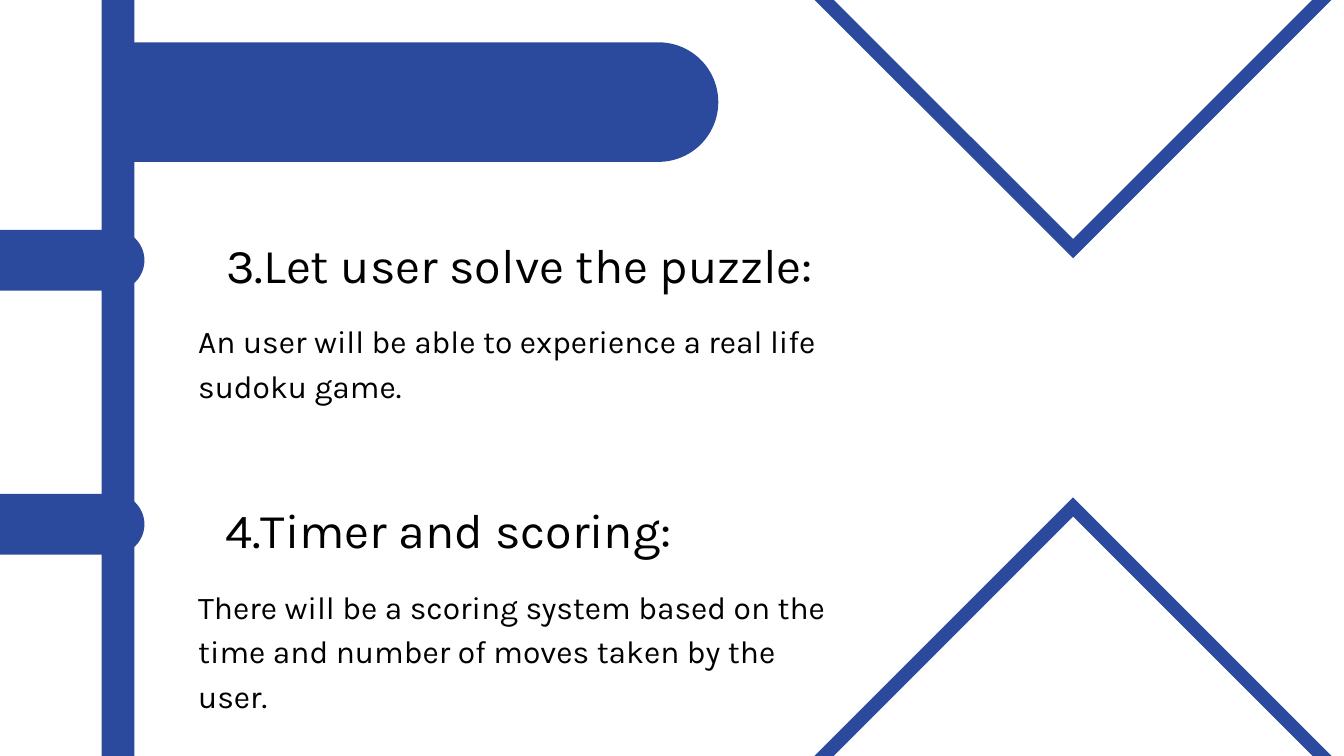
"""Build a slide describing two features of a sudoku game."""
from lxml.etree import SubElement
from pptx import Presentation
from pptx.dml.color import RGBColor
from pptx.enum.shapes import MSO_SHAPE as Preset
from pptx.enum.text import MSO_ANCHOR as Anchor, MSO_AUTO_SIZE as AutoSize, PP_ALIGN as Align
from pptx.oxml.ns import qn
from pptx.util import Cm, Pt

COLORS = {"blue": "2B4A9D", "text": "000000", "background": "FFFFFF"}
FONT = "Karla"

presentation = Presentation()
presentation.slide_width, presentation.slide_height = Cm(50.8), Cm(28.58)
slide = presentation.slides.add_slide(presentation.slide_layouts.get_by_name("Comparison"))
slide.background.fill.solid()
slide.background.fill.fore_color.rgb = RGBColor.from_string(COLORS["background"])


def add_blue_shape(preset, left, top, width, height, rotation=0, adjustment=None):
    shape = slide.shapes.add_shape(preset, Cm(left), Cm(top), Cm(width), Cm(height))
    shape.rotation = rotation
    if adjustment is not None:
        shape.adjustments[0] = adjustment
    shape.fill.solid()
    shape.fill.fore_color.rgb = RGBColor.from_string(COLORS["blue"])
    shape.line.fill.background()
    shape.shadow.inherit = False


def fill_placeholder(index, text, box, size, line_spacing, alignment):
    shape = slide.placeholders[index]
    shape.left, shape.top, shape.width, shape.height = [Cm(value) for value in box]
    frame = shape.text_frame
    frame.text = text
    frame.word_wrap = True
    frame.auto_size = AutoSize.NONE
    frame.vertical_anchor = Anchor.TOP
    frame.margin_left = frame.margin_right = frame.margin_top = frame.margin_bottom = 0
    paragraph = frame.paragraphs[0]
    paragraph.alignment = alignment
    paragraph.line_spacing = Pt(line_spacing)
    paragraph.space_before = paragraph.space_after = Pt(0)
    paragraph.font.name = FONT
    paragraph.font.size = Pt(size)
    paragraph.font.bold = False
    paragraph.font.color.rgb = RGBColor.from_string(COLORS["text"])
    properties = paragraph._p.get_or_add_pPr()
    properties.set("marL", "0")
    properties.set("indent", "0")
    bullet = SubElement(properties, qn("a:buNone"))
    properties.find(qn("a:spcAft")).addnext(bullet)


add_blue_shape(Preset.RECTANGLE, 3.84, 0, 1.24, 28.58)

for diamond_top in (22.35, -10.9):
    add_blue_shape(Preset.FRAME, 32, diamond_top, 17.12, 17.12, 45, 0.03)

tabs = [(5.05, 1.6, 22.1, 4.52), (0, 8.69, 5.46, 2.3), (0, 18.67, 5.46, 2.3)]
for left, top, length, thickness in tabs:
    shift = (length - thickness) / 2
    add_blue_shape(Preset.ROUND_2_SAME_RECTANGLE, left + shift, top - shift,
                   thickness, length, 90, 0.5)

sections = [
    (0, "3.Let user solve the puzzle:", 5.46, 28.37,
     2, "An user will be able to experience a real life sudoku game.", 3.28),
    (1, "4.Timer and scoring:", 6.12, 21.67,
     4, "There will be a scoring system based on the time and number of moves taken by the user.", 4.95),
]
for row, (heading_index, heading, left, width, body_index, body, height) in enumerate(sections):
    top = 8.51 + row * 10.03
    fill_placeholder(heading_index, heading, (left, top, width, 2.46), 52, 72.8, Align.CENTER)
    fill_placeholder(body_index, body, (7.49, top + 3.43, 24.13, height), 34, 47.6, Align.LEFT)

unused = slide.placeholders[3].element
unused.getparent().remove(unused)

presentation.save("out.pptx")
